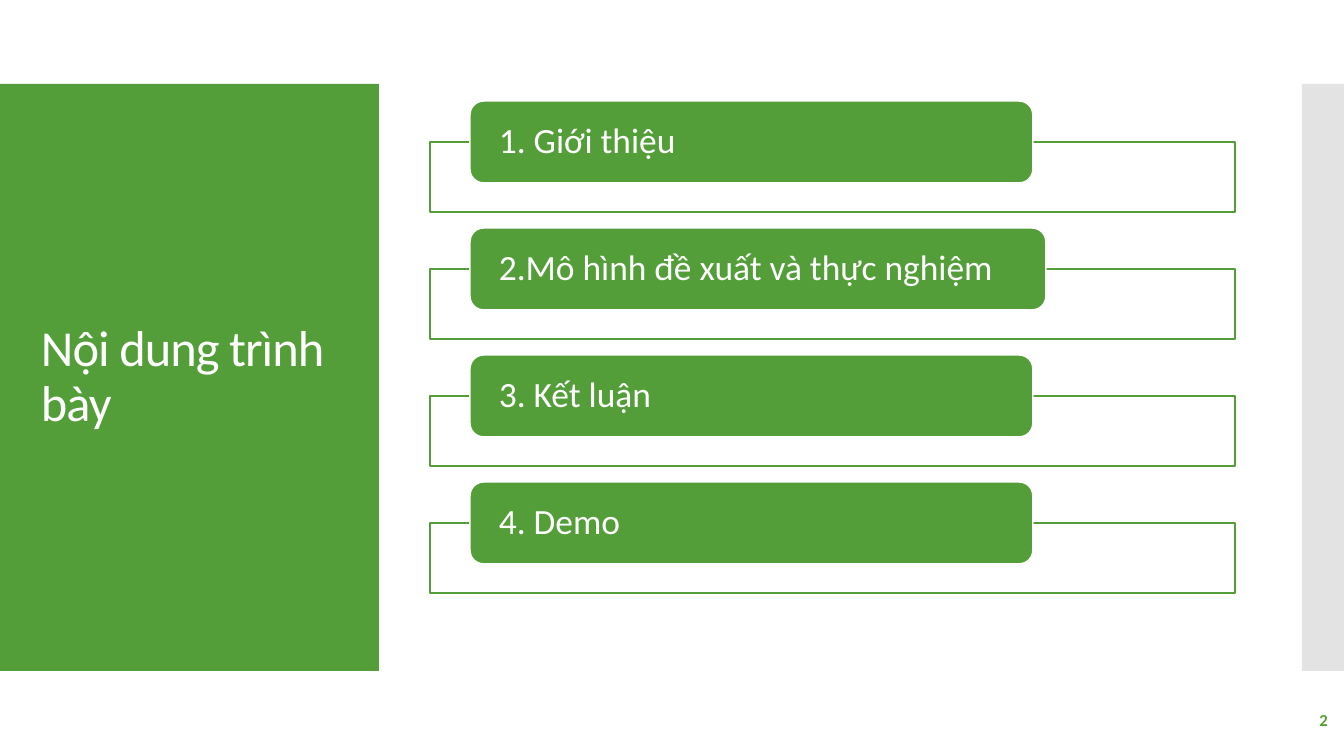
import pptx
import pptx.util
import pptx.dml.color
import pptx.enum.shapes
import pptx.enum.text
import pptx.oxml.ns
import lxml.etree

PX = 914400 / 134.4  # EMU per px
COLORS = {"green": "549E39", "white": "FFFFFF", "grey": "C8C8C8"}
SHAPES = pptx.enum.shapes.MSO_SHAPE
ALIGN = pptx.enum.text.PP_ALIGN


def emu(*lengths):
    return [round(n * PX) for n in lengths]


def rgb(name):
    return pptx.dml.color.RGBColor.from_string(COLORS[name])


class Deck:
    font = "Calibri"
    line_width = pptx.util.Pt(0.85)

    def __init__(self, width, height):
        self.prs = pptx.Presentation()
        self.prs.slide_width, self.prs.slide_height = emu(width, height)

    def add_slide(self):
        self.s = self.prs.slides.add_slide(self.prs.slide_layouts[6])

    def shape(self, box, fill, line=None, kind=SHAPES.RECTANGLE, opacity=100):
        sp = self.s.shapes.add_shape(kind, *emu(*box))
        sp.shadow.inherit = False
        sp.fill.solid()
        sp.fill.fore_color.rgb = rgb(fill)
        if opacity < 100:
            color = sp.element.spPr.find(".//" + pptx.oxml.ns.qn("a:srgbClr"))
            alpha = lxml.etree.SubElement(color, pptx.oxml.ns.qn("a:alpha"))
            alpha.set("val", str(opacity * 1000))
        if line:
            sp.line.color.rgb = rgb(line)
            sp.line.width = self.line_width
        else:
            sp.line.fill.background()
        return sp

    def set_text(self, sp, text, size, color="white", bold=False, align=ALIGN.LEFT,
                 spacing=0.9, insets=(13, 7, 13, 7), tracking=0):
        tf = sp.text_frame
        left, top, right, bottom = emu(*insets)
        frame = {"word_wrap": True, "margin_left": left, "margin_top": top,
                 "margin_right": right, "margin_bottom": bottom,
                 "vertical_anchor": pptx.enum.text.MSO_ANCHOR.MIDDLE}
        p = tf.paragraphs[0]
        r = p.add_run()
        r.text = text
        font = {"name": self.font, "size": pptx.util.Pt(size), "bold": bold}
        for target, values in ((tf, frame), (r.font, font),
                               (p, {"alignment": align, "line_spacing": spacing})):
            for key, value in values.items():
                setattr(target, key, value)
        r.font.color.rgb = rgb(color)
        if tracking:
            p.runs[0]._r.get_or_add_rPr().set("spc", str(round(tracking * 100)))

    def text(self, box, text, size, **style):
        self.set_text(self.s.shapes.add_textbox(*emu(*box)), text, size, **style)

    def agenda_item(self, top, text, label_width):
        self.shape((430, top + 41, 805, 70), "white", "green", opacity=90)
        sp = self.shape((470, top, label_width, 82), "green", "white",
                        SHAPES.ROUNDED_RECTANGLE)
        self.set_text(sp, text, 19, insets=(25, 4, 25, 4))


def main():
    deck = Deck(1344, 756)
    deck.add_slide()

    # Side panels
    deck.shape((0, 84, 379, 587), "green")
    deck.shape((1302, 84, 42, 587), "grey", opacity=50)

    # Title
    deck.text((28, 124, 325, 507), "Nội dung trình bày", 27, tracking=-0.5)

    # Agenda
    items = [("1. Giới thiệu", 563), ("2.Mô hình đề xuất và thực nghiệm", 576),
             ("3. Kết luận", 563), ("4. Demo", 563)]
    for i, (text, label_width) in enumerate(items):
        deck.agenda_item(101 + 127 * i, text, label_width)

    # Slide number
    deck.text((1172, 700, 169, 40), "2", 9, color="green", bold=True,
              align=ALIGN.RIGHT, spacing=1.0)

    deck.prs.save("out.pptx")


if __name__ == "__main__":
    main()
